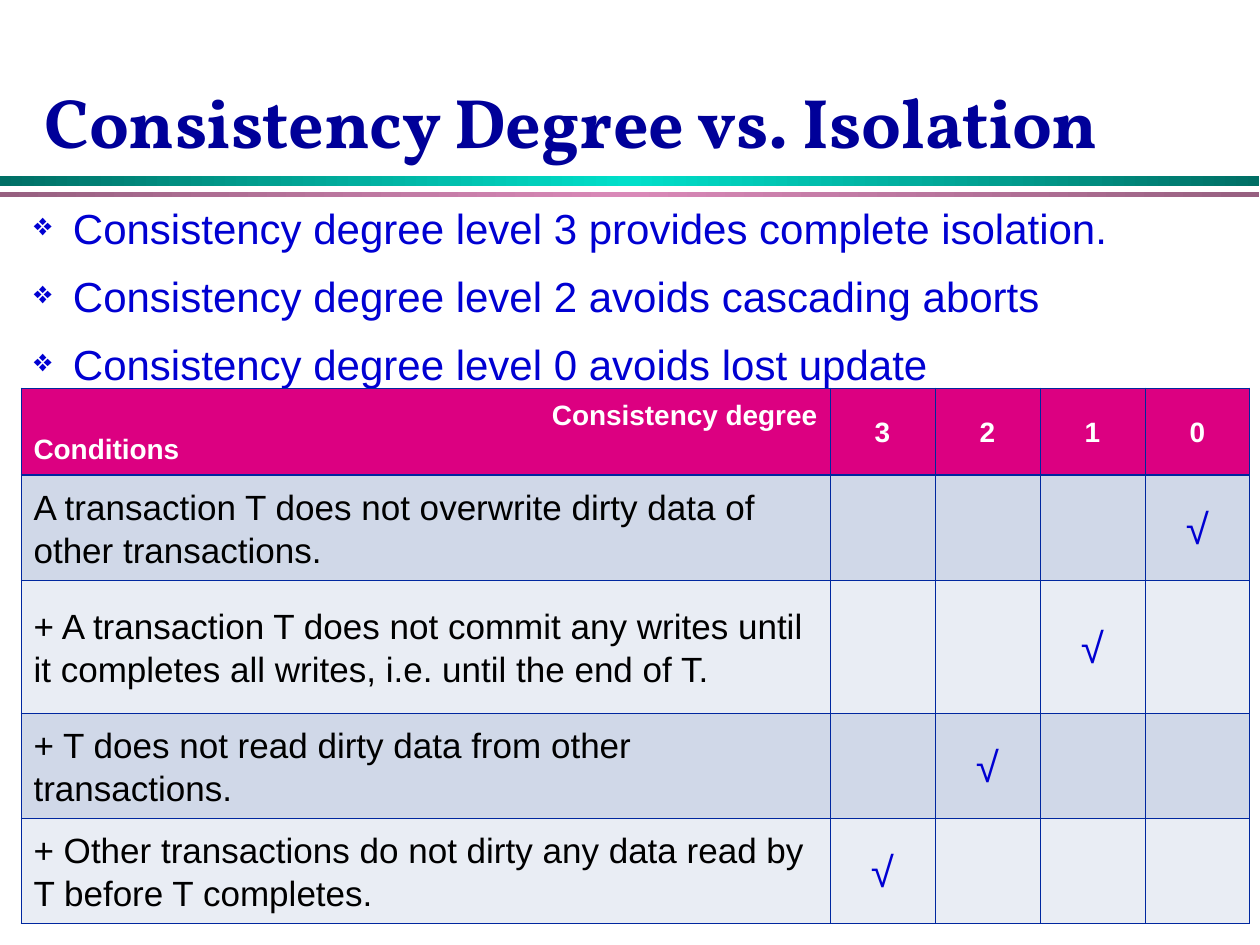
import copy

from lxml import etree
from pptx import Presentation
from pptx import util as u
from pptx.dml.color import RGBColor
from pptx.enum import shapes, text
from pptx.oxml import ns

BLUE, GRID = "0000D2", "00279F"
RULES = [(176, 10, "006F65", "00DFCA"), (192, 5, "976080", "D989B8")]
POINTS = [
    "Consistency degree level 3 provides complete isolation.",
    "Consistency degree level 2 avoids cascading aborts",
    "Consistency degree level 0 avoids lost update",
]
DEGREES = ["3", "2", "1", "0"]
CONDITIONS = [
    ("A transaction T does not overwrite dirty data of other transactions.", "0"),
    ("+ A transaction T does not commit any writes until it completes all writes, "
     "i.e. until the end of T.", "1"),
    ("+ T does not read dirty data from other transactions.", "2"),
    ("+ Other transactions do not dirty any data read by T before T completes.", "3"),
]
COLUMN_WIDTHS = [809, 105, 105, 105, 105]
ROW_HEIGHTS = [87, 105, 133, 105, 105]


def px(length):
    """Turn pixels into EMU."""
    return u.Emu(round(length * 914400 / 126))


def color(value):
    """Turn a hex string into a colour."""
    return RGBColor.from_string(value)


def style(paragraph, size, value, font="Arial", bold=False, align="LEFT"):
    """Set the font and alignment of a paragraph."""
    paragraph.font.size = u.Pt(size)
    paragraph.font.name = font
    paragraph.font.bold = bold
    paragraph.font.color.rgb = color(value)
    paragraph.alignment = text.PP_ALIGN[align]


def add_rules(slide, left, width):
    """Draw the two gradient rules under the title."""
    for top, height, edge, middle in RULES:
        shape = slide.shapes.add_shape(
            shapes.MSO_SHAPE.RECTANGLE, px(left), px(top), px(width), px(height))
        shape.shadow.inherit = False
        shape.line.fill.background()
        shape.fill.gradient()
        shape.fill.gradient_angle = 0
        stop_list = next(shape.element.iter(ns.qn("a:gsLst")))
        stop_list.append(copy.deepcopy(stop_list[0]))
        stops = zip(shape.fill.gradient_stops, (0, 0.5, 1), (edge, middle, edge))
        for stop, position, value in stops:
            stop.position = position
            stop.color.rgb = color(value)


def add_title(slide, left, top, width, height):
    """Place the slide title."""
    box = slide.shapes.add_textbox(px(left), px(top), px(width), px(height))
    frame = box.text_frame
    frame.word_wrap = True
    frame.vertical_anchor = text.MSO_ANCHOR.MIDDLE
    frame.text = "Consistency Degree vs. Isolation"
    style(frame.paragraphs[0], 40, "000099", "Vollkorn", True)


def add_bullet(paragraph, indent):
    """Give a paragraph a hanging diamond bullet."""
    properties = paragraph._p.get_or_add_pPr()
    properties.set("marL", str(px(indent)))
    properties.set("indent", str(-px(indent)))
    bullet_color = etree.SubElement(properties, ns.qn("a:buClr"))
    etree.SubElement(bullet_color, ns.qn("a:srgbClr"), val=BLUE)
    etree.SubElement(properties, ns.qn("a:buSzPct"), val="75000")
    etree.SubElement(properties, ns.qn("a:buChar"), char="❖")


def add_points(slide, left, top, width, height):
    """Place the bulleted statements."""
    box = slide.shapes.add_textbox(px(left), px(top), px(width), px(height))
    frame = box.text_frame
    frame.word_wrap = True
    frame.margin_left = frame.margin_right = frame.margin_top = frame.margin_bottom = 0
    frame.text = "\n".join(POINTS)
    for paragraph in frame.paragraphs:
        paragraph.line_spacing = 1.1
        paragraph.space_before = u.Pt(7.2)
        style(paragraph, 24, BLUE)
        add_bullet(paragraph, 39)


def add_borders(cell, widths):
    """Draw the left, right, top and bottom borders of a cell."""
    properties = cell._tc.get_or_add_tcPr()
    for index, (side, width) in enumerate(zip("LRTB", widths)):
        line = etree.Element(ns.qn(f"a:ln{side}"), w=str(u.Pt(width)))
        fill = etree.SubElement(line, ns.qn("a:solidFill"))
        etree.SubElement(fill, ns.qn("a:srgbClr"), val=GRID)
        properties.insert(index, line)


def fill_cell(cell, words, fill, size, value, bold, aligns, borders):
    """Write and format one table cell."""
    cell.fill.solid()
    cell.fill.fore_color.rgb = color(fill)
    cell.vertical_anchor = text.MSO_ANCHOR.MIDDLE
    add_borders(cell, borders)
    cell.text = words
    for paragraph, align in zip(cell.text_frame.paragraphs, aligns):
        paragraph.line_spacing = 1.1
        style(paragraph, size, value, bold=bold, align=align)


def add_degree_table(slide, left, top):
    """Place the table of conditions against consistency degrees."""
    table = slide.shapes.add_table(
        len(ROW_HEIGHTS), len(COLUMN_WIDTHS), px(left), px(top),
        px(sum(COLUMN_WIDTHS)), px(sum(ROW_HEIGHTS))).table
    table.horz_banding = False
    for column, width in zip(table.columns, COLUMN_WIDTHS):
        column.width = px(width)
    for row, height in zip(table.rows, ROW_HEIGHTS):
        row.height = px(height)

    thin, thick = 0.45, 1.47
    for index, words in enumerate(["Consistency degree\nConditions", *DEGREES]):
        aligns = ["CENTER"] if index else ["RIGHT", "LEFT"]
        fill_cell(table.cell(0, index), words, "DC0081", 16, "FFFFFF", True,
                  aligns, (thin, thin, thin, thick))
    for number, (condition, degree) in enumerate(CONDITIONS, 1):
        fill = "D0D8E8" if number % 2 else "E9EDF4"
        borders = (thin, thin, thick if number == 1 else thin, thin)
        fill_cell(table.cell(number, 0), condition, fill, 20, "000000", False,
                  ["LEFT"], borders)
        for index, heading in enumerate(DEGREES, 1):
            mark = "√" if heading == degree else ""
            fill_cell(table.cell(number, index), mark, fill, 24, BLUE, False,
                      ["CENTER"], borders)


def main():
    """Build and save the slide."""
    presentation = Presentation()
    presentation.slide_width, presentation.slide_height = px(1260), px(945)
    slide = presentation.slides.add_slide(presentation.slide_layouts[6])
    add_rules(slide, 0, 1259)
    add_title(slide, 32, 53, 1166, 136)
    add_points(slide, 34, 198, 1170, 192)
    add_degree_table(slide, 21, 388)
    presentation.save("out.pptx")


if __name__ == "__main__":
    main()
